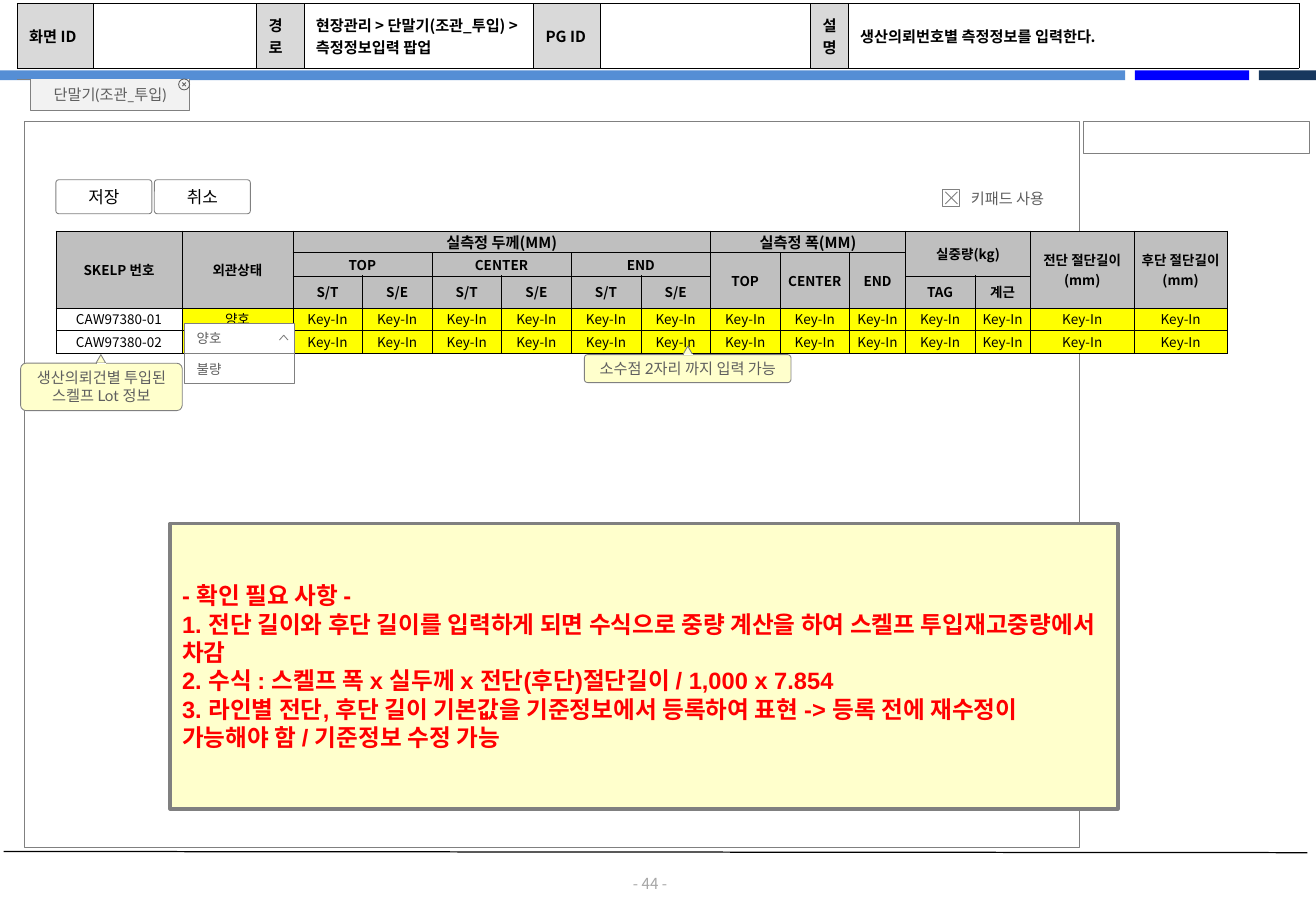
import pptx
import pptx.util
import pptx.dml.color
import pptx.enum.shapes
import pptx.enum.text
import pptx.oxml
import pptx.oxml.ns
from lxml import etree

Inches = pptx.util.Inches
SHAPE = pptx.enum.shapes.MSO_SHAPE
ALIGN = pptx.enum.text.PP_ALIGN
ANCHOR = pptx.enum.text.MSO_ANCHOR

COLORS = {
    "sky": "558ED5", "blue": "0000FF", "navy": "17375E", "black": "000000",
    "white": "FFFFFF", "line": "808080", "gray_text": "5F5F5F", "page": "A6A6A6",
    "tab": "F2F2F2", "label": "D9D9D9", "heading": "BFBFBF", "input": "FFFF00",
    "note": "FFFFCC", "red": "FF0000",
}
GOTHIC = "Noto Sans CJK KR"


def rgb(name):
    return pptx.dml.color.RGBColor.from_string(COLORS[name])


def paint(shape, fill=None, line="line", width=0.5):
    shape.shadow.inherit = False
    if fill:
        shape.fill.solid()
        shape.fill.fore_color.rgb = rgb(fill)
    else:
        shape.fill.background()
    if line:
        shape.line.color.rgb = rgb(line)
        shape.line.width = pptx.util.Pt(width)
    else:
        shape.line.fill.background()


def write(frame, lines, size, font, color, bold=False, align=ALIGN.CENTER,
          anchor=ANCHOR.MIDDLE, insets=(0.1, 0.05, 0.1, 0.05), wrap=True):
    frame.word_wrap = wrap
    frame.vertical_anchor = anchor
    (frame.margin_left, frame.margin_top,
     frame.margin_right, frame.margin_bottom) = map(Inches, insets)
    for index, line in enumerate(lines):
        paragraph = frame.paragraphs[0] if index == 0 else frame.add_paragraph()
        paragraph.text = line
        paragraph.alignment = align
        paragraph.font.size = pptx.util.Pt(size)
        paragraph.font.name = font
        paragraph.font.bold = bold
        paragraph.font.color.rgb = rgb(color)


def add_box(slide, box, preset=SHAPE.RECTANGLE, corner=None, **style):
    shape = slide.shapes.add_shape(preset, *map(Inches, box))
    if corner is not None:
        shape.adjustments[0] = corner
    paint(shape, **style)
    return shape


def add_line(slide, start, end, color, width):
    line = slide.shapes.add_connector(
        pptx.enum.shapes.MSO_CONNECTOR.STRAIGHT, *map(Inches, start + end))
    line.line.color.rgb = rgb(color)
    line.line.width = pptx.util.Pt(width)
    etree.SubElement(line.element.spPr, pptx.oxml.ns.qn("a:effectLst"))


def add_outline(slide, strokes, fill=None, line="line"):
    points = [[(Inches(x), Inches(y)) for x, y in stroke] for stroke in strokes]
    builder = slide.shapes.build_freeform(*points[0][0])
    builder.add_line_segments(points[0][1:], close=False)
    for stroke in points[1:]:
        builder.move_to(*stroke[0])
        builder.add_line_segments(stroke[1:], close=False)
    shape = builder.convert_to_shape()
    paint(shape, fill, line)
    return shape


def add_cross(slide, left, top, size, line="line"):
    right, bottom = left + size, top + size
    add_outline(slide, [[(right, top), (left, bottom)],
                        [(left, top), (right, bottom)]], line=line)


def add_grid(slide, left, top, columns, rows):
    table = slide.shapes.add_table(
        len(rows), len(columns), Inches(left), Inches(top),
        Inches(sum(columns)), Inches(sum(rows))).table
    table.first_row = table.horz_banding = False
    for column, width in zip(table.columns, columns):
        column.width = Inches(width)
    for row, height in zip(table.rows, rows):
        row.height = Inches(height)
    return table


def fill_cell(cell, fill, text="", size=8, **style):
    # Borders come before the fill in the cell properties
    properties = cell._tc.get_or_add_tcPr()
    for side in ("lnL", "lnR", "lnT", "lnB"):
        properties.append(pptx.oxml.parse_xml(
            f'<a:{side} {pptx.oxml.ns.nsdecls("a")} w="3175"><a:solidFill>'
            f'<a:srgbClr val="{COLORS["black"]}"/></a:solidFill></a:{side}>'))
    cell.fill.solid()
    cell.fill.fore_color.rgb = rgb(fill)
    insets = style.pop("insets", (0, 0, 0, 0))
    (cell.margin_left, cell.margin_top,
     cell.margin_right, cell.margin_bottom) = map(Inches, insets)
    cell.vertical_anchor = ANCHOR.MIDDLE
    if text:
        write(cell.text_frame, text.split("\n"), size, GOTHIC, "black",
              insets=insets, **style)
    else:
        end = etree.SubElement(cell.text_frame.paragraphs[0]._p,
                               pptx.oxml.ns.qn("a:endParaRPr"))
        end.set("sz", str(size * 100))


def add_frame(slide):
    """Coloured bar, footer line and page number."""
    for left, width, color in ((0, 9.26, "sky"), (9.34, 0.94, "blue"),
                               (10.36, 0.47, "navy")):
        add_box(slide, (left, 0.58, width, 0.08), fill=color, line=None)
    add_line(slide, (0.03, 7.01), (10.76, 7.02), "black", 0.75)
    number = slide.shapes.add_textbox(*map(Inches, (5.05, 7.2, 0.6, 0.15)))
    write(number.text_frame, ["- 44 -"], 9, GOTHIC, "page", insets=(0, 0, 0, 0))


def add_header(slide, left, top):
    """Screen description table."""
    texts = ["화면 ID", "", "경로", "현장관리 > 단말기(조관_투입) > 측정정보입력 팝업",
             "PG ID", "", "설명", "생산의뢰번호별 측정정보를 입력한다."]
    table = add_grid(slide, left, top,
                     [0.63, 1.34, 0.39, 1.89, 0.55, 1.73, 0.31, 3.71], [0.53])
    for index, text in enumerate(texts):
        fill_cell(table.cell(0, index), "white" if index % 2 else "label", text, 9,
                  bold=True, align=ALIGN.LEFT, insets=(0.1, 0.05, 0.1, 0.05))


def add_tab(slide, left, top, width, height):
    """Tab with its close button."""
    right, bottom = left + width, top + height
    add_line(slide, (left, top), (left - 0.11, top), "line", 0.5)
    tab = add_outline(slide, [[(right, top), (right, bottom),
                               (left, bottom), (left, top)]], fill="tab")
    write(tab.text_frame, ["단말기(조관_투입)"], 9, "Lato", "gray_text",
          insets=(0.05,) * 4)
    add_box(slide, (right - 0.09, top, 0.09, 0.09), SHAPE.OVAL, line="gray_text")
    add_cross(slide, right - 0.06, top + 0.03, 0.03, "gray_text")


def add_measurements(slide, left, top):
    """Measurement entry table."""
    headings = [  # row, column, row span, column span, text
        (0, 0, 3, 1, "SKELP 번호"), (0, 1, 3, 1, "외관상태"),
        (0, 2, 1, 6, "실측정 두께(MM)"), (0, 8, 1, 3, "실측정 폭(MM)"),
        (0, 11, 2, 2, "실중량(kg)"), (2, 11, 1, 1, "TAG"), (2, 12, 1, 1, "계근"),
        (0, 13, 3, 1, "전단 절단길이\n(mm)"), (0, 14, 3, 1, "후단 절단길이\n(mm)"),
    ]
    for index, part in enumerate(("TOP", "CENTER", "END")):
        column = 2 + 2 * index
        headings += [(1, column, 1, 2, part), (2, column, 1, 1, "S/T"),
                     (2, column + 1, 1, 1, "S/E"), (1, 8 + index, 2, 1, part)]
    columns = [1.04, 0.91] + [0.573] * 8 + [0.46, 0.57, 0.46, 0.85, 0.77]
    table = add_grid(slide, left, top, columns, [0.18, 0.19, 0.26, 0.18, 0.19])
    for row, column, row_span, column_span, text in headings:
        last_row, last_column = row + row_span, column + column_span
        for r in range(row, last_row):
            for c in range(column, last_column):
                is_first = (r, c) == (row, column)
                fill_cell(table.cell(r, c), "heading", text if is_first else "",
                          9 if "MM" in text else 8, bold=True)
        if row_span * column_span > 1:
            table.cell(row, column).merge(table.cell(last_row - 1, last_column - 1))
    for row, number, state in ((3, "CAW97380-01", "양호"), (4, "CAW97380-02", "")):
        for column, text in enumerate([number, state] + ["Key-In"] * 13):
            fill_cell(table.cell(row, column), "input" if column else "white", text)


def add_dropdown(slide, left, top, width, height):
    """Open list of conditions."""
    for index, text in enumerate(("양호", "불량")):
        item = add_box(slide, (left, top + index * height, width, height), fill="white")
        write(item.text_frame, [text], 8, "Lato", "gray_text", align=ALIGN.LEFT,
              insets=(0.1, 0.06, 0.1, 0.06))
    x, y = left + width - 0.12, top + 0.1
    add_outline(slide, [[(x, y + 0.04), (x + 0.035, y), (x + 0.07, y + 0.04)]])


def add_callout(slide, box, pointer, lines):
    """Note bubble with a pointer on its top edge."""
    top = box[1]
    bubble = add_box(slide, box, SHAPE.ROUNDED_RECTANGLE, 0.114, fill="note")
    write(bubble.text_frame, lines, 9, "Lato", "gray_text", anchor=ANCHOR.TOP,
          insets=(0.05, 0.03, 0.05, 0.03), wrap=False)
    add_box(slide, (pointer, top - 0.07, 0.08, 0.07), SHAPE.ISOSCELES_TRIANGLE,
            fill="note")
    add_line(slide, (pointer + 0.08, top), (pointer + 0.01, top), "white", 0.5)


def add_buttons(slide, left, top, width, height):
    for index, text in enumerate(("저장", "취소")):
        button = add_box(slide, (left + index * (width + 0.02), top, width, height),
                         SHAPE.ROUNDED_RECTANGLE, 0.088)
        write(button.text_frame, [text], 10, "Arial", "black")


def add_checkbox(slide, left, top, size):
    add_box(slide, (left, top, size, size), fill="white")
    add_cross(slide, left + 0.02, top + 0.02, size - 0.04)
    label = slide.shapes.add_textbox(
        *map(Inches, (left + size + 0.01, top - 0.04, 0.83, 0.23)))
    write(label.text_frame, ["키패드 사용"], 9, "Lato", "gray_text",
          align=ALIGN.LEFT, insets=(0.08, 0.04, 0.08, 0.04), wrap=False)


def add_review_note(slide, box):
    note = add_box(slide, box, fill="note", width=2)
    write(note.text_frame, [
        "- 확인 필요 사항 -",
        "1. 전단 길이와 후단 길이를 입력하게 되면 수식으로 중량 계산을 하여 스켈프 투입재고중량에서 차감",
        "2. 수식 : 스켈프 폭 x 실두께 x 전단(후단)절단길이 / 1,000 x 7.854",
        "3. 라인별 전단, 후단 길이 기본값을 기준정보에서 등록하여 표현 -> 등록 전에 재수정이 "
        "가능해야 함 / 기준정보 수정 가능",
    ], 14, "Arial", "red", bold=True, align=ALIGN.LEFT)


def main():
    presentation = pptx.Presentation()
    presentation.slide_width = Inches(10.83)
    presentation.slide_height = Inches(7.5)
    slide = presentation.slides.add_slide(presentation.slide_layouts[6])
    add_frame(slide)
    add_box(slide, (0.2, 1, 8.68, 5.98))
    add_header(slide, 0.14, 0.03)
    add_tab(slide, 0.25, 0.65, 1.31, 0.26)
    add_box(slide, (8.92, 1, 1.86, 0.26), fill="white")
    add_measurements(slide, 0.46, 1.9)
    add_dropdown(slide, 1.52, 2.66, 0.9, 0.25)
    add_callout(slide, (4.81, 2.92, 1.7, 0.23), 5.62, ["소수점 2자리 까지 입력 가능"])
    add_buttons(slide, 0.46, 1.48, 0.79, 0.28)
    add_callout(slide, (0.17, 2.99, 1.33, 0.39), 0.79,
                ["생산의뢰건별 투입된", "스켈프 Lot 정보"])
    add_review_note(slide, (1.4, 4.31, 7.8, 2.35))
    add_checkbox(slide, 7.76, 1.56, 0.14)
    presentation.save("out.pptx")


if __name__ == "__main__":
    main()
